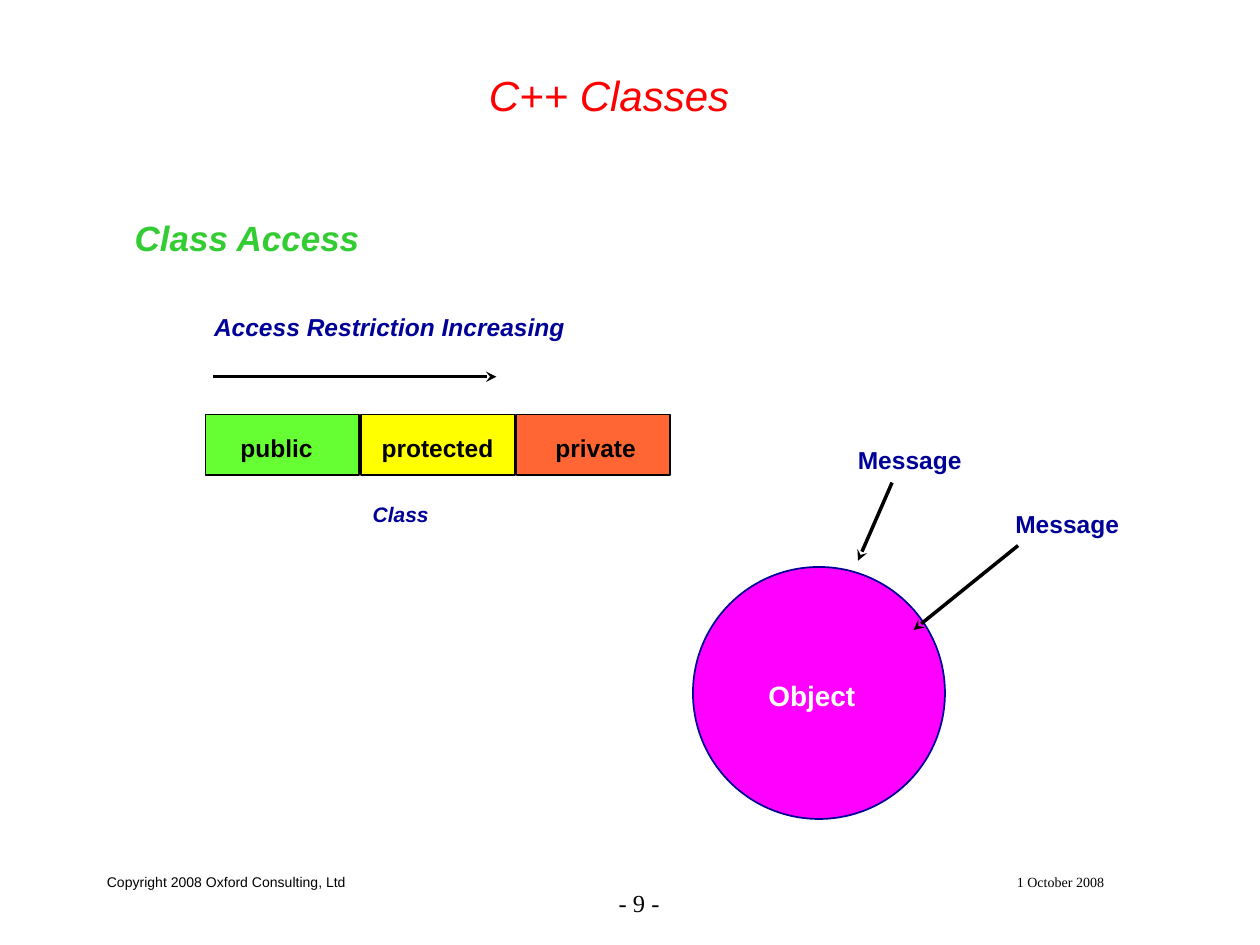
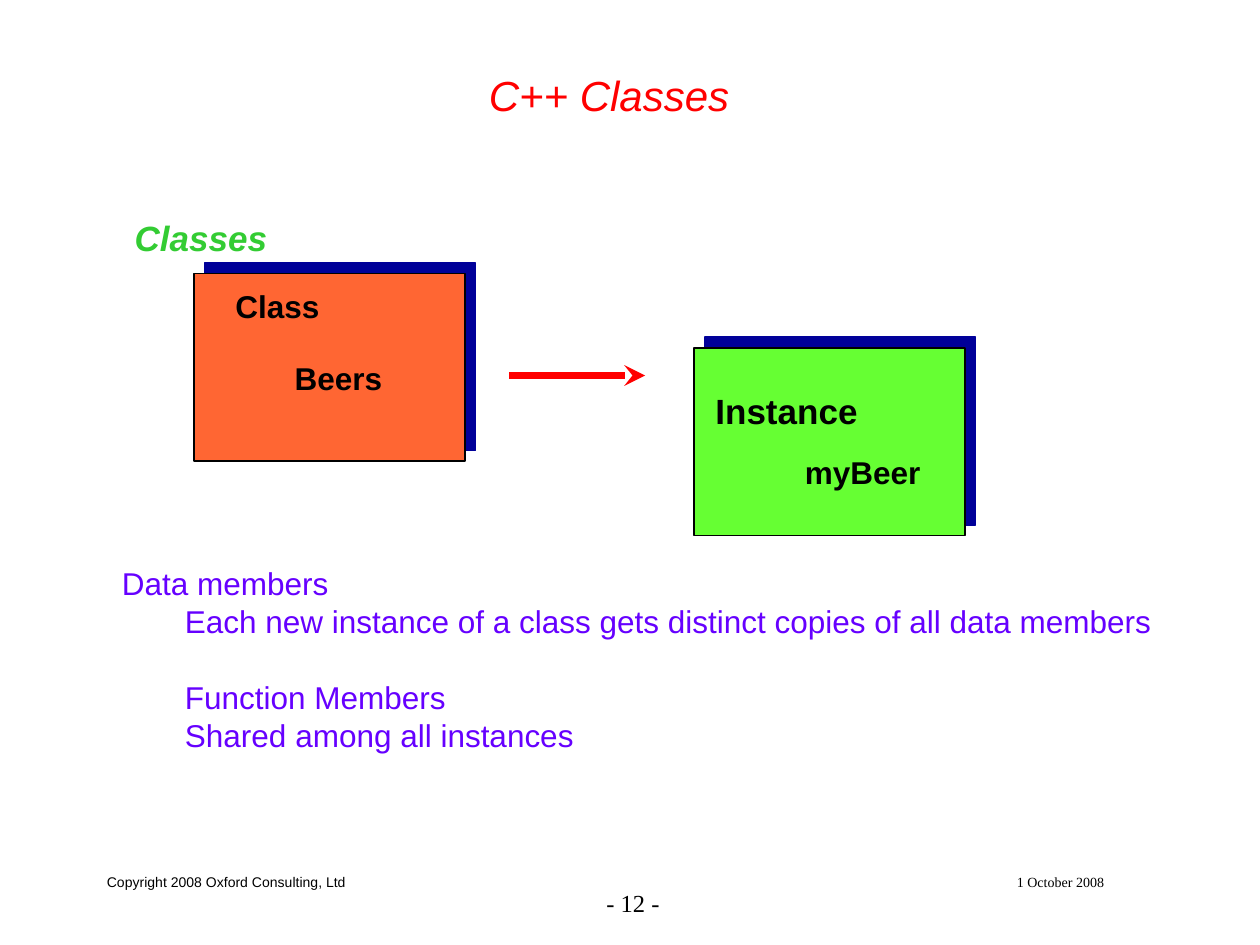
"""Builds two slides on C++ classes: member access, and classes with their instances."""
from dataclasses import dataclass

import pptx
import pptx.dml.color
import pptx.enum.shapes
import pptx.enum.text
import pptx.oxml
import pptx.oxml.ns
import pptx.shapes.autoshape
import pptx.slide
import pptx.text.text
import pptx.util

RGBColor = pptx.dml.color.RGBColor
ShapeKind = pptx.enum.shapes.MSO_SHAPE
Align = pptx.enum.text.PP_ALIGN
Anchor = pptx.enum.text.MSO_ANCHOR

BLACK = RGBColor(0x00, 0x00, 0x00)
WHITE = RGBColor(0xFF, 0xFF, 0xFF)
RED = RGBColor(0xFF, 0x00, 0x00)
HEADING_GREEN = RGBColor(0x33, 0xCC, 0x33)
NAVY = RGBColor(0x00, 0x00, 0x99)
ORANGE = RGBColor(0xFF, 0x66, 0x33)
YELLOW = RGBColor(0xFF, 0xFF, 0x00)
LIME = RGBColor(0x66, 0xFF, 0x33)
MAGENTA = RGBColor(0xFF, 0x00, 0xFF)
VIOLET = RGBColor(0x66, 0x00, 0xFF)

SANS = "Arial"
SERIF = "Times New Roman"

SLIDE_WIDTH = pptx.util.Inches(10)
SLIDE_HEIGHT = pptx.util.Inches(7.5)
COLUMNS, ROWS = 120, 90
TITLE_ONLY = 5


def across(columns: float) -> int:
    """Turn grid columns into a length."""
    return round(SLIDE_WIDTH * columns / COLUMNS)


def down(rows: float) -> int:
    """Turn grid rows into a length."""
    return round(SLIDE_HEIGHT * rows / ROWS)


@dataclass(frozen=True)
class Box:
    """An area in grid columns and rows."""
    column: float
    row: float
    columns: float
    rows: float

    def place(self) -> tuple[int, int, int, int]:
        """Return left, top, width and height."""
        return across(self.column), down(self.row), across(self.columns), down(self.rows)


@dataclass(frozen=True)
class Arrow:
    """A straight arrow between two grid points."""
    start: tuple[float, float]
    end: tuple[float, float]
    color: RGBColor = BLACK
    width: float = 2


@dataclass(frozen=True)
class AccessLevel:
    """One access level of a class, with its label's area."""
    name: str
    color: RGBColor
    label: Box


@dataclass(frozen=True)
class Tag:
    """A text on a card."""
    text: str
    box: Box
    size: float = 18


@dataclass(frozen=True)
class Card:
    """A shadowed card with its tags."""
    column: float
    row: float
    color: RGBColor
    tags: tuple[Tag, ...]


COPYRIGHT_BOX = Box(9, 81, 25, 6)
DATE_BOX = Box(82, 81, 38, 6)
NUMBER_BOX = Box(55, 83, 9, 6)
TITLE_BOX = Box(7, 4, 102, 8)
HEADING_BOX = Box(11.64, 20, 101.4, 57)

LEVEL_LEFT, LEVEL_STEP = 19.56, 14.82
LEVELS = (
    AccessLevel("public", LIME, Box(21.72, 40.68, 9.36, 4)),
    AccessLevel("protected", YELLOW, Box(35.16, 40.68, 13.08, 4)),
    AccessLevel("private", ORANGE, Box(51.72, 40.68, 10.08, 4)),
)
MESSAGE_BOXES = (Box(80.52, 41.76, 12.36, 4), Box(95.52, 47.88, 12.36, 4))
ACCESS_ARROWS = (
    Arrow((20.28, 35.88), (47.28, 35.88)),
    Arrow((84.96, 45.96), (81.72, 53.4)),
    Arrow((96.96, 51.96), (87, 60)),
)
CARDS = (
    Card(18.48, 26.04, ORANGE, (
        Tag("Class", Box(21.24, 26.76, 10.44, 4.8)),
        Tag("Beers", Box(26.88, 33.6, 10.8, 4.8)),
    )),
    Card(66.12, 33.12, LIME, (
        Tag("Instance", Box(66.96, 36.48, 15.96, 5.16), 20),
        Tag("myBeer", Box(75.48, 42.6, 13.44, 4.8)),
    )),
)
MEMBERS = (
    "Data members\n"
    "Each new instance of a class gets distinct copies of all data members\n"
    "Function Members\n"
    "Shared among all instances"
)


def write_text(frame: pptx.text.text.TextFrame, text: str, *, size: float,
               color: RGBColor = BLACK, font: str = SANS, bold: bool = False,
               italic: bool = False, align: Align = Align.LEFT,
               anchor: Anchor = Anchor.TOP, wrap: bool = False) -> None:
    """Write the lines of a text, one paragraph each, in one format."""
    frame.text = text
    frame.auto_size = pptx.enum.text.MSO_AUTO_SIZE.NONE
    frame.word_wrap = wrap
    frame.vertical_anchor = anchor
    for paragraph in frame.paragraphs:
        paragraph.alignment = align
        for run in paragraph.runs:
            run.font.name = font
            run.font.size = pptx.util.Pt(size)
            run.font.bold = bold
            run.font.italic = italic
            run.font.color.rgb = color


def add_text(slide: pptx.slide.Slide, text: str, box: Box, **text_format) -> pptx.text.text.TextFrame:
    """Add a text box and return its frame."""
    frame = slide.shapes.add_textbox(*box.place()).text_frame
    write_text(frame, text, **text_format)
    return frame


def add_block(slide: pptx.slide.Slide, kind: ShapeKind, box: Box, fill: RGBColor,
              line: RGBColor | None = BLACK) -> pptx.shapes.autoshape.Shape:
    """Add a flat filled shape, outlined unless line is None."""
    shape = slide.shapes.add_shape(kind, *box.place())
    shape.shadow.inherit = False
    shape.fill.solid()
    shape.fill.fore_color.rgb = fill
    if line is None:
        shape.line.fill.background()
    else:
        shape.line.color.rgb = line
        shape.line.width = pptx.util.Pt(1)
    return shape


def add_arrow(slide: pptx.slide.Slide, arrow: Arrow) -> None:
    """Add a connector with a stealth head at its end."""
    (start_column, start_row), (end_column, end_row) = arrow.start, arrow.end
    connector = slide.shapes.add_connector(
        pptx.enum.shapes.MSO_CONNECTOR.STRAIGHT,
        across(start_column), down(start_row), across(end_column), down(end_row))
    connector.line.color.rgb = arrow.color
    connector.line.width = pptx.util.Pt(arrow.width)
    properties = connector._element.spPr
    head = pptx.oxml.parse_xml(f'<a:tailEnd {pptx.oxml.ns.nsdecls("a")} type="stealth"/>')
    properties.get_or_add_ln().append(head)
    properties.append(pptx.oxml.parse_xml(f'<a:effectLst {pptx.oxml.ns.nsdecls("a")}/>'))


def add_card(slide: pptx.slide.Slide, card: Card) -> None:
    """Add a card with a hard shadow to the upper right, and its tags."""
    box = Box(card.column, card.row, 25.8, 17.88)
    shape = add_block(slide, ShapeKind.RECTANGLE, box, card.color)
    effects = shape._element.spPr.find(pptx.oxml.ns.qn("a:effectLst"))
    effects.append(pptx.oxml.parse_xml(
        f'<a:outerShdw {pptx.oxml.ns.nsdecls("a")} dist="{pptx.util.Pt(8.5)}" '
        f'dir="{315 * 60000}" algn="ctr" rotWithShape="0"><a:srgbClr val="{NAVY}"/></a:outerShdw>'))
    for tag in card.tags:
        label = add_block(slide, ShapeKind.RECTANGLE, tag.box, card.color, line=None)
        write_text(label.text_frame, tag.text, size=tag.size, bold=True)


def add_page(presentation: pptx.presentation.Presentation, heading: str,
             number: int) -> pptx.slide.Slide:
    """Add a slide with the shared footer and title, and its heading."""
    slide = presentation.slides.add_slide(presentation.slide_layouts[TITLE_ONLY])
    title = slide.shapes.title
    title.left, title.top, title.width, title.height = TITLE_BOX.place()
    write_text(title.text_frame, "C++ Classes", size=24, color=RED, italic=True,
               align=Align.CENTER, anchor=Anchor.BOTTOM, wrap=True)
    add_text(slide, "Copyright 2008 Oxford Consulting, Ltd", COPYRIGHT_BOX, size=8,
             anchor=Anchor.MIDDLE)
    add_text(slide, "1 October 2008", DATE_BOX, size=8, font=SERIF,
             align=Align.CENTER, anchor=Anchor.MIDDLE)
    add_text(slide, f"- {number} -", NUMBER_BOX, size=14, font=SERIF,
             align=Align.RIGHT, anchor=Anchor.MIDDLE)
    add_text(slide, heading, HEADING_BOX, size=20, color=HEADING_GREEN,
             bold=True, italic=True, wrap=True)
    return slide


def build_access_slide(presentation: pptx.presentation.Presentation) -> None:
    """Show the access levels of a class and messages to an object."""
    slide = add_page(presentation, "Class Access", 9)
    add_text(slide, "Access Restriction Increasing", Box(19.2, 29.16, 35.88, 4),
             size=14, color=NAVY, bold=True, italic=True)
    add_text(slide, "Class", Box(34.32, 47.16, 7.8, 3.6),
             size=12, color=NAVY, bold=True, italic=True)
    for index, level in enumerate(LEVELS):
        cell = Box(LEVEL_LEFT + index * LEVEL_STEP, 39.48, 14.64, 5.76)
        add_block(slide, ShapeKind.RECTANGLE, cell, level.color)
        add_text(slide, level.name, level.label, size=14, bold=True)
    add_block(slide, ShapeKind.OVAL, Box(66, 54, 24, 24), MAGENTA, NAVY)
    add_text(slide, "Object", Box(72, 64, 11.88, 4.44), size=16, color=WHITE,
             bold=True, wrap=True)
    for box in MESSAGE_BOXES:
        add_text(slide, "Message", box, size=14, color=NAVY, bold=True)
    for arrow in ACCESS_ARROWS:
        add_arrow(slide, arrow)


def build_instance_slide(presentation: pptx.presentation.Presentation) -> None:
    """Show a class, its instance and what instances share."""
    slide = add_page(presentation, "Classes", 12)
    for card in CARDS:
        add_card(slide, card)
    add_arrow(slide, Arrow((48.48, 35.76), (61.44, 35.76), RED, 4))
    members = add_text(slide, MEMBERS, Box(10.44, 53.16, 100.44, 22.8), size=18, color=VIOLET)
    for paragraph in members.paragraphs[1:]:
        paragraph._p.get_or_add_pPr().set("marL", str(across(6)))
    members.paragraphs[2].line_spacing = 2.0


def main() -> None:
    """Build and save the presentation."""
    presentation = pptx.Presentation()
    presentation.slide_width = SLIDE_WIDTH
    presentation.slide_height = SLIDE_HEIGHT
    build_access_slide(presentation)
    build_instance_slide(presentation)
    presentation.save("out.pptx")


if __name__ == "__main__":
    main()
